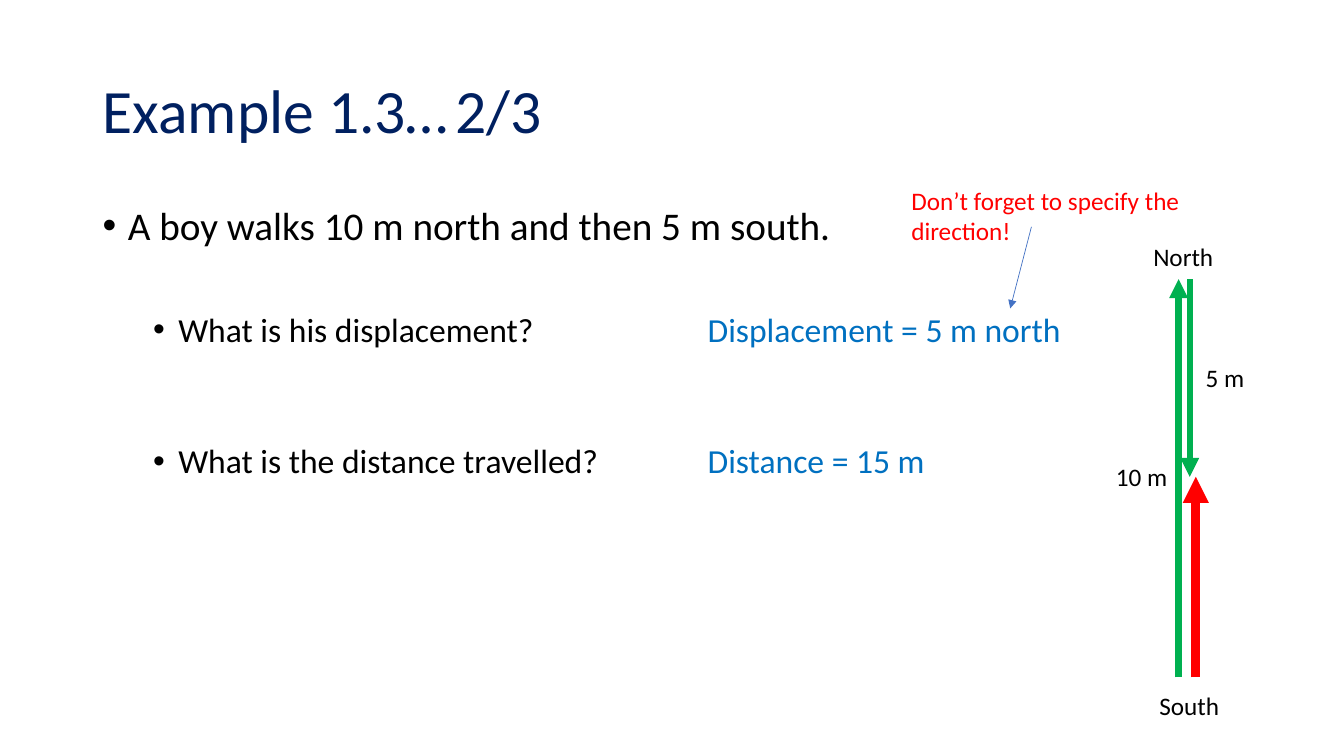
import dataclasses

import pptx
import pptx.dml.color
import pptx.enum.shapes
import pptx.enum.text
import pptx.oxml.ns
import pptx.util
from lxml import etree

Inches = pptx.util.Inches
Pt = pptx.util.Pt
qn = pptx.oxml.ns.qn
MSO_ANCHOR = pptx.enum.text.MSO_ANCHOR
MSO_AUTO_SIZE = pptx.enum.text.MSO_AUTO_SIZE


@dataclasses.dataclass(frozen=True)
class Theme:
    font: str = "Calibri"
    navy: str = "002060"
    black: str = "000000"
    blue: str = "0070C0"
    green: str = "00B050"
    red: str = "FF0000"
    pointer: str = "4472C4"
    title: int = 44
    body: int = 28
    question: int = 24
    label: int = 18


theme = Theme()


def add_text(p, text, size=theme.label, color=theme.black):
    r = p.add_run()
    r.text = text
    r.font.name = theme.font
    r.font.size = Pt(size)
    r.font.color.rgb = pptx.dml.color.RGBColor.from_string(color)


def set_layout(p, left=0, hanging=0, bullet=None, tab=None):
    """Set indents, bullet and tab stop of a paragraph, in inches."""
    p.line_spacing = 0.9
    pPr = p._p.get_or_add_pPr()
    pPr.set("marL", str(Inches(left)))
    pPr.set("indent", str(-Inches(hanging)))
    if bullet:
        etree.SubElement(pPr, qn("a:buFont"), typeface="Arial")
        etree.SubElement(pPr, qn("a:buChar"), char=bullet)
    if tab:
        tabs = etree.SubElement(pPr, qn("a:tabLst"))
        etree.SubElement(tabs, qn("a:tab"), pos=str(Inches(tab)), algn="l")


prs = pptx.Presentation()
prs.slide_width = Inches(13.33)
prs.slide_height = Inches(7.5)
s = prs.slides.add_slide(prs.slide_layouts[6])

# Title with the page count at a tab stop
tf = s.shapes.add_textbox(Inches(0.92), Inches(0.4), Inches(11.5), Inches(1.45)).text_frame
tf.word_wrap = True
tf.vertical_anchor = MSO_ANCHOR.MIDDLE
p = tf.paragraphs[0]
set_layout(p, tab=10)
add_text(p, "Example 1.3…\t2/3", size=theme.title, color=theme.navy)

# Problem, then questions with their answers at a tab stop
tf = s.shapes.add_textbox(Inches(0.92), Inches(2), Inches(11.5), Inches(4.76)).text_frame
tf.word_wrap = True
p = tf.paragraphs[0]
set_layout(p, left=0.25, hanging=0.25, bullet="•")
add_text(p, "A boy walks 10 m north and then 5 m south.", size=theme.body)

questions = [
    ("What is his displacement?", "Displacement = 5 m north", 46),
    ("What is the distance travelled?", "Distance = 15 m", 68),
]
for question, answer, space_before in questions:
    p = tf.add_paragraph()
    p.level = 1
    set_layout(p, left=0.75, hanging=0.25, bullet="•", tab=6)
    p.space_before = Pt(space_before)
    add_text(p, question + "\t", size=theme.question)
    add_text(p, answer, size=theme.question, color=theme.blue)

# Arrows of the walk, and the pointer from the reminder to the answer
north, turn, south = 2.77, 4.73, 6.72
arrows = [
    (11.69, south, 11.69, north, theme.green, 4.5),
    (11.8, north, 11.8, turn, theme.green, 4.5),
    (11.86, south, 11.86, turn, theme.red, 6.25),
    (10.23, 2.25, 10.02, 3.06, theme.pointer, 0.5),
]
for x1, y1, x2, y2, color, width in arrows:
    arrow = s.shapes.add_connector(
        pptx.enum.shapes.MSO_CONNECTOR.STRAIGHT, Inches(x1), Inches(y1), Inches(x2), Inches(y2)
    )
    arrow.line.color.rgb = pptx.dml.color.RGBColor.from_string(color)
    arrow.line.width = Pt(width)
    etree.SubElement(arrow.line._get_or_add_ln(), qn("a:tailEnd"), type="triangle")
    etree.SubElement(arrow._element.spPr, qn("a:effectLst"))

# Diagram labels and the reminder
labels = [
    ("10 m", 10.97, 4.53, 0.72, 0.4, theme.black, False),
    ("5 m", 11.86, 3.55, 0.59, 0.4, theme.black, False),
    ("Don’t forget to specify the direction!", 8.94, 1.79, 2.92, 0.71, theme.red, True),
    ("North", 11.34, 2.34, 0.8, 0.4, theme.black, False),
    ("South", 11.4, 6.8, 0.8, 0.4, theme.black, False),
]
for text, left, top, width, height, color, wrap in labels:
    tf = s.shapes.add_textbox(Inches(left), Inches(top), Inches(width), Inches(height)).text_frame
    tf.word_wrap = wrap
    tf.auto_size = MSO_AUTO_SIZE.SHAPE_TO_FIT_TEXT
    add_text(tf.paragraphs[0], text, color=color)

prs.save("out.pptx")
